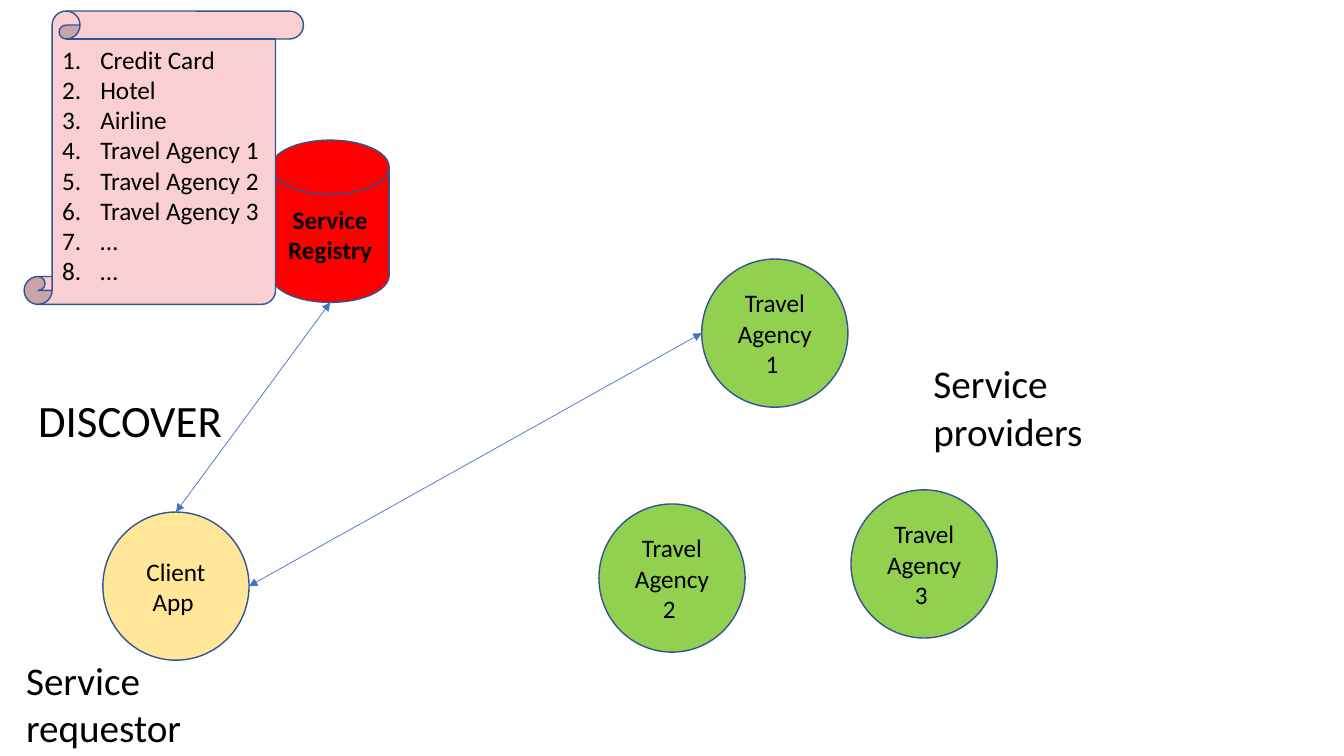
from pptx import Presentation
from pptx.dml.color import RGBColor
from pptx.enum.shapes import MSO_CONNECTOR, MSO_SHAPE
from pptx.enum.text import MSO_ANCHOR, MSO_AUTO_SIZE, PP_ALIGN
from pptx.oxml.ns import qn
from pptx.util import Inches, Pt
from lxml.etree import SubElement

WIDTH, HEIGHT = 13.33, 7.5
CIRCLE = (1.45, 1.47)
GREEN, YELLOW, RED, PINK = "92D050", "FFE699", "FF0000", "F9CFD2"
OUTLINE, ARROW, BLACK = "325491", "4472C4", "000000"

CIRCLES = {
    "Travel Agency 1 ": (6.96, 2.57, GREEN),
    "Client App ": (1.02, 5.08, YELLOW),
    "Travel Agency 2 ": (5.94, 5, GREEN),
    "Travel Agency 3 ": (8.44, 4.86, GREEN),
}
REGISTRY = ("Service Registry", (2.69, 1.39, 1.17, 1.61))
SCROLL = (0.24, 0.11, 2.77, 2.91)
SERVICES = ["Credit Card", "Hotel", "Airline", "Travel Agency 1",
            "Travel Agency 2", "Travel Agency 3", "…", "…"]
LABELS = [
    ("DISCOVER", (0.28, 3.85, 2.19, 0.64), 32),
    ("Service requestor", (0.16, 6.46, 2.53, 1.04), 28),
    ("Service providers", (9.16, 3.52, 2.53, 1.04), 28),
]


def color(value):
    return RGBColor.from_string(value)


def write(paragraph, text, size=18, bold=False):
    run = paragraph.add_run()
    run.text = text
    for name, value in {"name": "Calibri", "size": Pt(size), "bold": bold}.items():
        setattr(run.font, name, value)
    run.font.color.rgb = color(BLACK)


def add_figure(slide, kind, box, fill):
    shape = slide.shapes.add_shape(kind, *map(Inches, box))
    shape.shadow.inherit = False
    shape.fill.solid()
    shape.fill.fore_color.rgb = color(fill)
    shape.line.color.rgb = color(OUTLINE)
    shape.line.width = Pt(1)
    return shape


def add_node(slide, kind, box, fill, text, bold=False):
    shape = add_figure(slide, kind, box, fill)
    shape.text_frame.vertical_anchor = MSO_ANCHOR.MIDDLE
    paragraph = shape.text_frame.paragraphs[0]
    paragraph.alignment = PP_ALIGN.CENTER
    write(paragraph, text, bold=bold)
    return shape


def add_service_list(slide):
    scroll = add_figure(slide, MSO_SHAPE.VERTICAL_SCROLL, SCROLL, PINK)
    scroll.adjustments[0] = 0.1
    frame = scroll.text_frame
    frame.vertical_anchor = MSO_ANCHOR.TOP
    for index, service in enumerate(SERVICES):
        paragraph = frame.add_paragraph() if index else frame.paragraphs[0]
        paragraph.alignment = PP_ALIGN.LEFT
        properties = paragraph._p.get_or_add_pPr()
        properties.set("marL", str(Inches(0.38)))
        properties.set("indent", str(-Inches(0.38)))
        SubElement(properties, qn("a:buFont"), typeface="+mj-lt")
        SubElement(properties, qn("a:buAutoNum"), type="arabicPeriod")
        write(paragraph, service)


def add_label(slide, text, box, size):
    frame = slide.shapes.add_textbox(*map(Inches, box)).text_frame
    frame.word_wrap = True
    frame.auto_size = MSO_AUTO_SIZE.SHAPE_TO_FIT_TEXT
    write(frame.paragraphs[0], text, size)


def point(shape, across, down):
    return (shape.left + int(shape.width * across),
            shape.top + int(shape.height * down))


def add_arrow(slide, start, end):
    connector = slide.shapes.add_connector(MSO_CONNECTOR.STRAIGHT, *start, *end)
    connector.line.color.rgb = color(ARROW)
    connector.line.width = Pt(0.5)
    line = connector.line._get_or_add_ln()
    for tag in ("a:headEnd", "a:tailEnd"):
        SubElement(line, qn(tag), type="triangle")
    SubElement(connector._element.spPr, qn("a:effectLst"))


def main():
    presentation = Presentation()
    presentation.slide_width = Inches(WIDTH)
    presentation.slide_height = Inches(HEIGHT)
    slide = presentation.slides.add_slide(presentation.slide_layouts[6])
    nodes = {
        text: add_node(slide, MSO_SHAPE.FLOWCHART_CONNECTOR,
                       (left, top, *CIRCLE), fill, text)
        for text, (left, top, fill) in CIRCLES.items()
    }
    name, box = REGISTRY
    registry = add_node(slide, MSO_SHAPE.FLOWCHART_MAGNETIC_DISK, box, RED, name, True)
    add_service_list(slide)
    for label in LABELS:
        add_label(slide, *label)
    client = nodes["Client App "]
    agency = nodes["Travel Agency 1 "]
    add_arrow(slide, point(client, 0.5, 0), point(registry, 0.5, 1))
    add_arrow(slide, point(client, 1, 0.5), point(agency, 0, 0.5))
    presentation.save("out.pptx")


if __name__ == "__main__":
    main()
